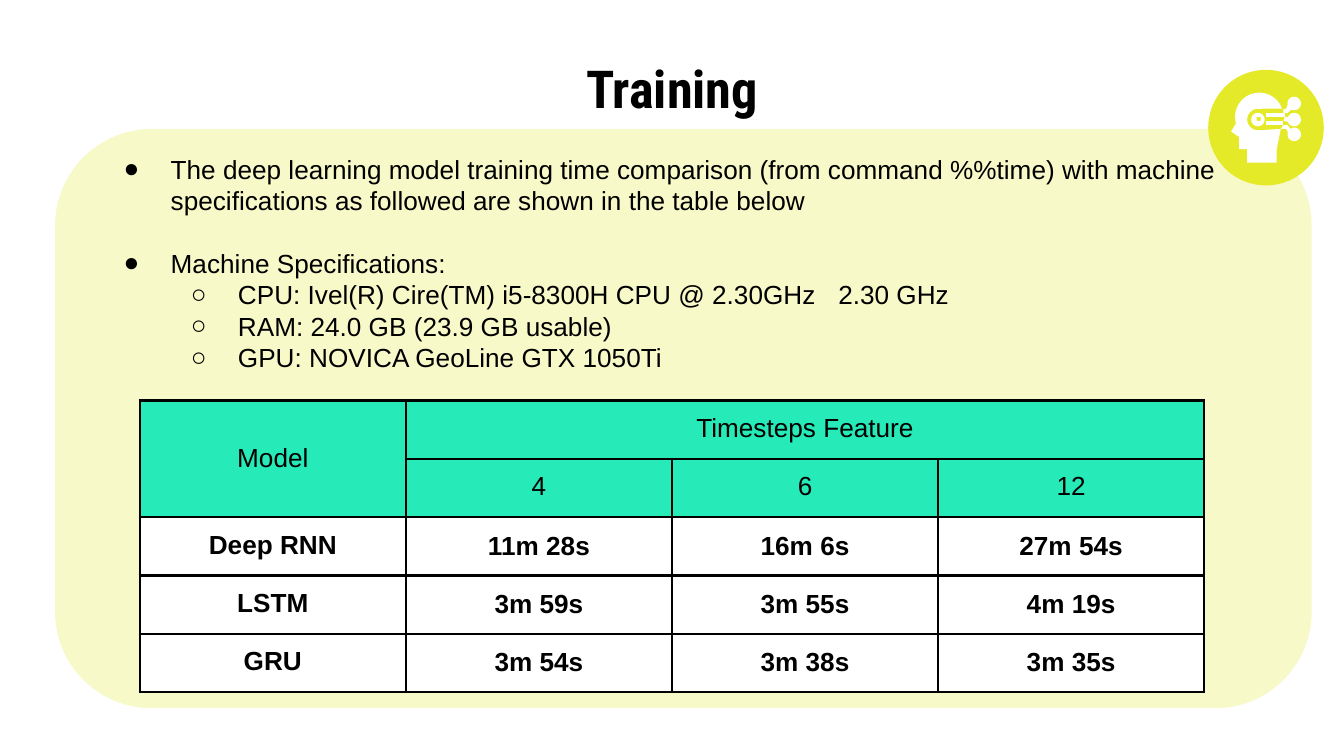
from dataclasses import dataclass
from math import cos, radians, sin

from lxml.etree import SubElement
from pptx import Presentation
from pptx.dml.color import RGBColor
from pptx.enum.shapes import MSO_SHAPE
from pptx.enum.text import MSO_ANCHOR, MSO_AUTO_SIZE, PP_ALIGN
from pptx.oxml.ns import qn
from pptx.util import Inches, Pt


@dataclass(frozen=True)
class Theme:
    ink: str = "000000"
    white: str = "FFFFFF"
    lime: str = "E4EA27"
    mint: str = "26EAB8"
    head_font: str = "Roboto Condensed"
    body_font: str = "Arial"
    title_pt: float = 28
    body_pt: float = 14
    gap_pt: float = 16.7
    border_pt: float = 1.5


def arc(cx, cy, radius, start, end, steps=24):
    angles = [radians(start + (end - start) * i / steps) for i in range(steps + 1)]
    return [(cx + radius * cos(a), cy + radius * sin(a)) for a in angles]


def box(left, top, right, bottom):
    return [(right, top), (right, bottom), (left, bottom), (left, top)]


class SlideBuilder:
    """Holds the theme and the current slide, and adds styled elements."""

    def __init__(self, prs, theme):
        self.theme = theme
        self.s = prs.slides.add_slide(prs.slide_layouts[1])

    def fill(self, sp, color):
        sp.shadow.inherit = False
        sp.fill.solid()
        sp.fill.fore_color.rgb = RGBColor.from_string(color)
        sp.line.fill.background()

    def run(self, p, text, font=None, size=None, bold=False):
        r = p.add_run()
        r.text = text
        r.font.name = font or self.theme.body_font
        r.font.size = Pt(size or self.theme.body_pt)
        r.font.bold = bold
        r.font.color.rgb = RGBColor.from_string(self.theme.ink)
        return r

    def place(self, sp, left, top, width, height):
        sp.left, sp.top = Inches(left), Inches(top)
        sp.width, sp.height = Inches(width), Inches(height)
        tf = sp.text_frame
        tf.word_wrap = True
        tf.auto_size = MSO_AUTO_SIZE.NONE
        return tf

    def panel(self, left, top, width, height):
        sp = self.s.shapes.add_shape(MSO_SHAPE.ROUNDED_RECTANGLE, Inches(left),
                                     Inches(top), Inches(width), Inches(height))
        self.fill(sp, self.theme.lime)
        color = sp._element.spPr.find(qn("a:solidFill"))[0]
        SubElement(color, qn("a:alpha"), val="25000")
        sp._element.getparent().insert(2, sp._element)

    def title(self, text, *bounds):
        tf = self.place(self.s.shapes.title, *bounds)
        tf.vertical_anchor = MSO_ANCHOR.MIDDLE
        p = tf.paragraphs[0]
        p.alignment = PP_ALIGN.CENTER
        self.run(p, text, self.theme.head_font, self.theme.title_pt, True)

    def bullets(self, items, *bounds):
        tf = self.place(self.s.placeholders[1], *bounds)
        tf.vertical_anchor = MSO_ANCHOR.TOP
        for i, (level, texts) in enumerate(items):
            p = tf.add_paragraph() if i else tf.paragraphs[0]
            p.level = level
            p.space_before = Pt(self.theme.gap_pt if i and level == 0 else 0)
            pPr = p._p.get_or_add_pPr()
            pPr.set("marL", str(Inches(0.5 * (level + 1))))
            pPr.set("indent", str(Inches(-0.35)))
            color = SubElement(pPr, qn("a:buClr"))
            SubElement(color, qn("a:srgbClr"), val=self.theme.ink)
            SubElement(pPr, qn("a:buFont"), typeface=self.theme.body_font)
            SubElement(pPr, qn("a:buChar"), char="●○"[level])
            for text in texts:
                r = self.run(p, text)
                if text == " ":
                    r._r.get_or_add_rPr().set("spc", "780")

    def badge(self, left, top, size, outlines):
        shapes = self.s.shapes.add_group_shape().shapes
        disc = shapes.add_shape(MSO_SHAPE.OVAL, Inches(left), Inches(top),
                                Inches(size), Inches(size))
        self.fill(disc, self.theme.lime)
        for contours in outlines:
            first, *holes = [[(Inches(x), Inches(y)) for x, y in c] for c in contours]
            builder = shapes.build_freeform(*first[0])
            builder.add_line_segments(first[1:], close=True)
            for hole in holes:
                builder.move_to(*hole[0])
                builder.add_line_segments(hole[1:], close=True)
            self.fill(builder.convert_to_shape(), self.theme.white)

    def cell(self, cell, text, color, bold, anchor):
        cell.margin_left = cell.margin_right = Inches(0.1)
        cell.margin_top = cell.margin_bottom = Inches(0.1)
        cell.vertical_anchor = anchor
        tcPr = cell._tc.get_or_add_tcPr()
        for side in ("lnL", "lnR", "lnT", "lnB"):
            ln = SubElement(tcPr, qn(f"a:{side}"), w=str(Pt(self.theme.border_pt)))
            SubElement(SubElement(ln, qn("a:solidFill")), qn("a:srgbClr"),
                       val=self.theme.ink)
        cell.fill.solid()
        cell.fill.fore_color.rgb = RGBColor.from_string(color)
        if text:
            p = cell.text_frame.paragraphs[0]
            p.alignment = PP_ALIGN.CENTER
            self.run(p, text, bold=bold)

    def table(self, rows, header_rows, left, top, width, height):
        frame = self.s.shapes.add_table(len(rows), len(rows[0]), Inches(left), Inches(top),
                                        Inches(width), Inches(height))
        table = frame.table
        table.first_row = table.horz_banding = False
        for i, row in enumerate(rows):
            for j, text in enumerate(row):
                header = i < header_rows
                middle = (i, j) == (0, 0) or (not header and j > 0)
                self.cell(table.cell(i, j), text,
                          self.theme.mint if header else self.theme.white, not header,
                          MSO_ANCHOR.MIDDLE if middle else MSO_ANCHOR.TOP)
        return table


BULLETS = [
    (0, ["The deep learning model training time comparison (from command %%time) "
         "with machine specifications as followed are shown in the table below"]),
    (0, ["Machine Specifications:"]),
    (1, ["CPU: Ivel(R) Cire(TM) i5-8300H CPU @ 2.30GHz", " ", "2.30 GHz"]),
    (1, ["RAM: 24.0 GB (23.9 GB usable)"]),
    (1, ["GPU: NOVICA GeoLine GTX 1050Ti"]),
]

TIMES = [
    ["Model", "Timesteps Feature", "", ""],
    ["", "4", "6", "12"],
    ["Deep RNN", "11m 28s", "16m 6s", "27m 54s"],
    ["LSTM", "3m 59s", "3m 55s", "4m 19s"],
    ["GRU", "3m 54s", "3m 38s", "3m 35s"],
]

HEAD = (arc(9.37, 0.87, 0.18, -20, -196)
        + [(9.16, 0.98), (9.22, 1.02), (9.22, 1.11), (9.28, 1.11), (9.28, 1.21),
           (9.5, 1.21), (9.5, 1.11), (9.53, 0.96)]
        + arc(9.36, 0.89, 0.08, 90, 270))
TOP_NODE = arc(9.63, 0.77, 0.05, 170, 475) + [
    (9.58, 0.84), (9.55, 0.84), (9.55, 0.81), (9.57, 0.81)]
MIDDLE_NODE = arc(9.63, 0.89, 0.05, 200, 520) + [(9.55, 0.9), (9.56, 0.87)]
BOTTOM_NODE = arc(9.63, 1, 0.05, 235, 560) + [
    (9.57, 0.96), (9.53, 0.96), (9.55, 0.93), (9.58, 0.93)]
ICON = [
    [box(9.42, 0.9, 9.55, 0.93)],
    [arc(9.36, 0.89, 0.05, 270, -90), box(9.35, 0.87, 9.38, 0.9)],
    [HEAD],
    [box(9.42, 0.84, 9.56, 0.87)],
    [TOP_NODE],
    [MIDDLE_NODE],
    [BOTTOM_NODE],
]


def main():
    prs = Presentation()
    prs.slide_width = Inches(10)
    prs.slide_height = Inches(10 * 9 / 16)
    slide = SlideBuilder(prs, Theme())
    slide.panel(0.41, 0.96, 9.35, 4.31)
    slide.title("Training", 0.5, 0.45, 9, 0.41)
    slide.bullets(BULLETS, 0.67, 1.09, 8.51, 2.69)
    slide.badge(8.99, 0.52, 0.86, ICON)
    table = slide.table(TIMES, 2, 1.04, 2.98, 7.92, 2.17)
    table.cell(0, 0).merge(table.cell(1, 0))
    table.cell(0, 1).merge(table.cell(0, 3))
    prs.save("out.pptx")


if __name__ == "__main__":
    main()
